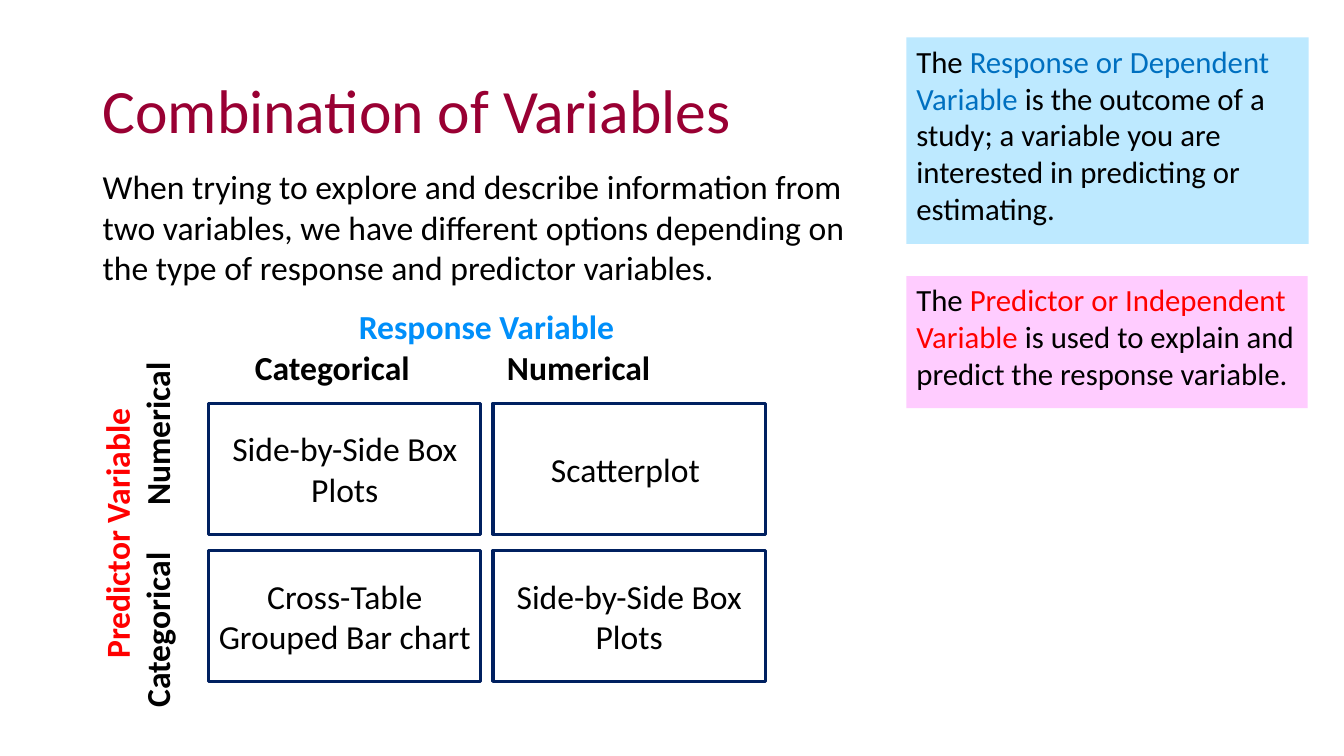
from dataclasses import dataclass

from pptx import Presentation
from pptx.dml.color import RGBColor as RGB
from pptx.enum.shapes import MSO_SHAPE as Shape
from pptx.enum.text import MSO_ANCHOR as Anchor, PP_ALIGN as Align
from pptx.util import Inches, Pt


@dataclass(frozen=True)
class Theme:
    font: str = "Calibri"
    ink: str = "000000"
    title: str = "990033"
    edge: str = "002060"
    sky: str = "BDE9FF"
    pink: str = "FFCCFF"
    blue: str = "0070C0"
    azure: str = "008FFA"
    red: str = "FF0000"
    head: int = 44
    body: int = 24
    note: int = 22
    rule: float = 2.25


THEME = Theme()


def add_line(para, runs, size, bold=False, align=Align.LEFT):
    """Fill a paragraph from (text, colour) pairs."""
    para.alignment = align
    for text, color in runs:
        run = para.add_run()
        run.text = text
        font = run.font
        font.name, font.size, font.bold = THEME.font, Pt(size), bold
        font.color.rgb = RGB.from_string(color)


def add_text(slide, box, runs, size):
    frame = slide.shapes.add_textbox(*map(Inches, box)).text_frame
    frame.word_wrap = True
    add_line(frame.paragraphs[0], runs, size)
    return frame


def add_axis(slide, box, name, color, levels, turn=0):
    """Label one side of the grid: its variable, then its levels."""
    label = slide.shapes.add_textbox(*map(Inches, box))
    label.rotation = turn
    frame = label.text_frame
    frame.word_wrap = True
    add_line(frame.paragraphs[0], [(name, color)], THEME.body, True, Align.CENTER)
    add_line(frame.add_paragraph(), [(levels, THEME.ink)], THEME.body, True)


def add_rect(slide, box, anchor):
    rect = slide.shapes.add_shape(Shape.RECTANGLE, *map(Inches, box))
    rect.shadow.inherit = False
    rect.text_frame.word_wrap = True
    rect.text_frame.vertical_anchor = anchor
    return rect


def add_note(slide, box, fill, runs):
    rect = add_rect(slide, box, Anchor.TOP)
    rect.fill.solid()
    rect.fill.fore_color.rgb = RGB.from_string(fill)
    rect.line.fill.background()
    add_line(rect.text_frame.paragraphs[0], runs, THEME.note)


def add_cell(slide, box, lines):
    rect = add_rect(slide, box, Anchor.MIDDLE)
    rect.fill.background()
    rect.line.color.rgb = RGB.from_string(THEME.edge)
    rect.line.width = Pt(THEME.rule)
    frame = rect.text_frame
    for i, text in enumerate(lines):
        para = frame.add_paragraph() if i else frame.paragraphs[0]
        add_line(para, [(text, THEME.ink)], THEME.body, align=Align.CENTER)


def add_grid(slide, rows):
    left, top, width, height = 2.07, 4, 2.7, 1.3
    step_x, step_y = 2.82, 1.46
    for r, row in enumerate(rows):
        for c, lines in enumerate(row):
            box = (left + c * step_x, top + r * step_y, width, height)
            add_cell(slide, box, lines)


def main():
    deck = Presentation()
    deck.slide_width, deck.slide_height = Inches(13.33), Inches(7.5)
    slide = deck.slides.add_slide(deck.slide_layouts[6])
    ink = THEME.ink

    title = add_text(slide, (0.92, 0.4, 6.68, 1.45),
                     [("Combination of Variables", THEME.title)], THEME.head)
    title.vertical_anchor = Anchor.MIDDLE
    title.paragraphs[0].line_spacing = 0.9
    add_text(slide, (0.92, 1.6, 7.78, 1.31),
             [("When trying to explore and describe information from two "
               "variables, we have different options depending on the type "
               "of response and predictor variables.", ink)], THEME.body)

    add_note(slide, (8.99, 0.37, 3.99, 2.05), THEME.sky, [
        ("The ", ink),
        ("Response or Dependent Variable ", THEME.blue),
        ("is the outcome of a study; a variable you are interested in "
         "predicting or estimating.", ink)])
    add_note(slide, (8.99, 2.74, 3.98, 1.31), THEME.pink, [
        ("The ", ink),
        ("Predictor or Independent Variable", THEME.red),
        (" is used to explain and predict the response variable.", ink)])

    add_axis(slide, (2.43, 2.99, 4.79, 0.91), "Response Variable",
             THEME.azure, "Categorical \t\tNumerical")
    add_axis(slide, (-0.46, 4.84, 3.64, 0.91), "Predictor Variable",
             THEME.red, "Categorical \tNumerical", turn=270)

    box_plots = ["Side-by-Side Box Plots"]
    add_grid(slide, [
        [box_plots, ["Scatterplot "]],
        [["Cross-Table", "Grouped Bar chart"], box_plots]])
    deck.save("out.pptx")


if __name__ == "__main__":
    main()
